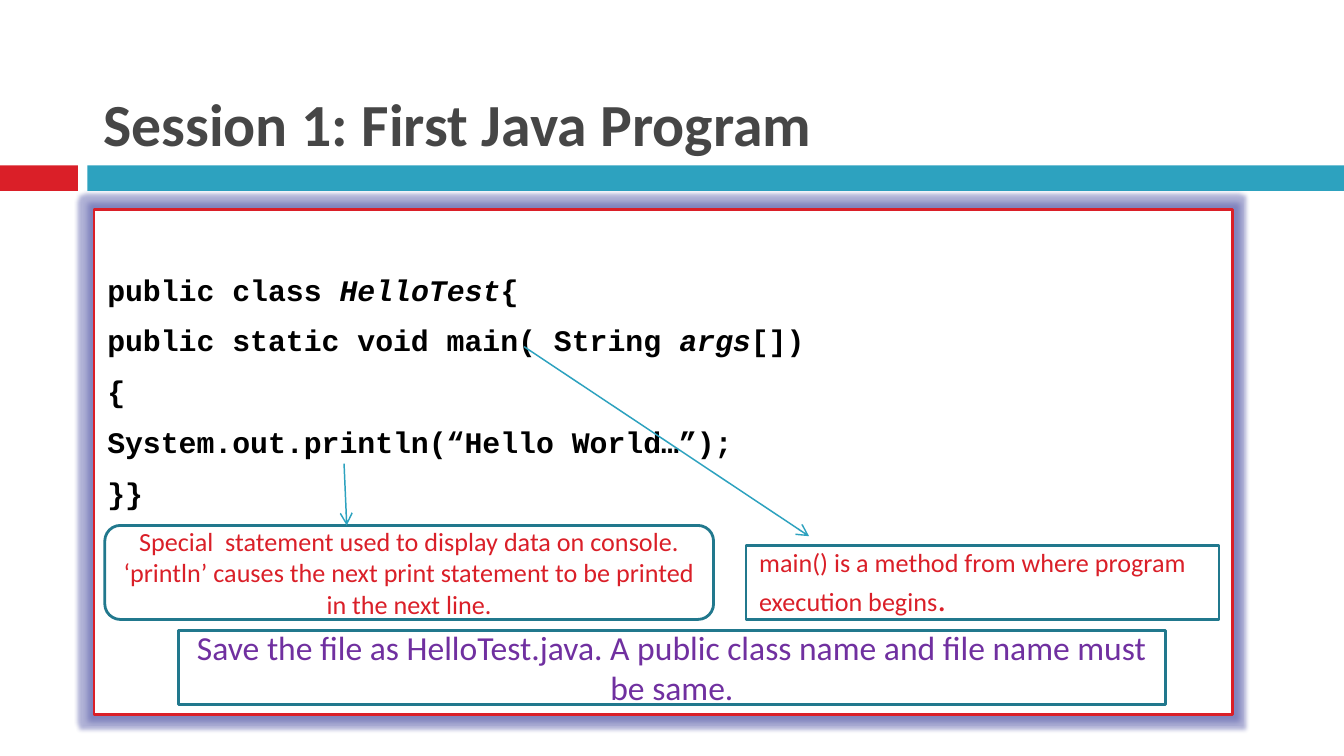
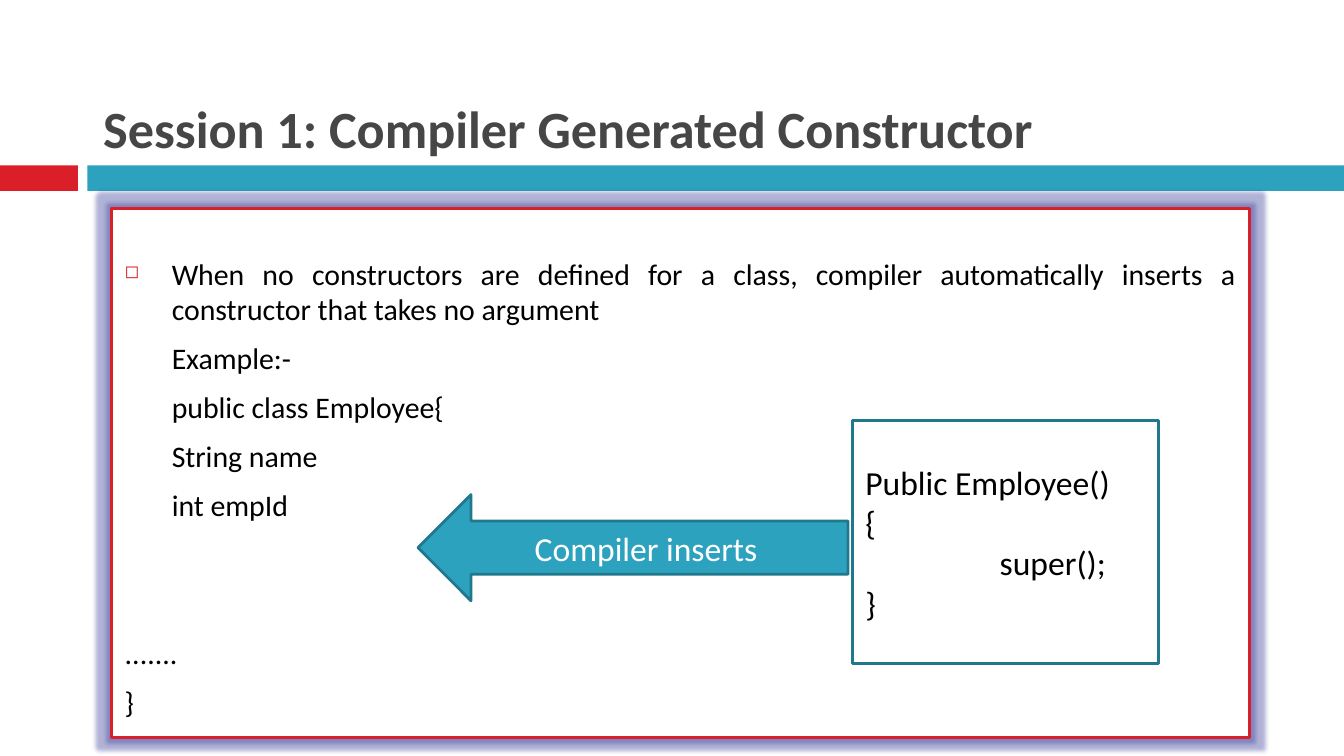
from lxml import etree
from pptx import Presentation
from pptx.dml.color import RGBColor
from pptx.enum.shapes import MSO_CONNECTOR, MSO_SHAPE
from pptx.enum.text import MSO_ANCHOR, PP_ALIGN
from pptx.oxml.ns import qn
from pptx.util import Inches, Pt

WIDTH = 10
HEIGHT = WIDTH * 9 / 16
RED, TEAL, DARK_TEAL = "DA1F28", "2DA2BF", "21788D"
WHITE, BLACK, GREY, PURPLE, GLOW = "FFFFFF", "000000", "464646", "7030A0", "3A3F9A"
BODY_FONT, CODE_FONT = "Calibri", "Courier New"
BANDS = [(0, 0.58, RED), (0.65, 9.35, TEAL)]
BAND_TOP, BAND_HEIGHT = 1.23, 0.19
TITLE_BOX = (0.67, 0.13, 9.33, 1.1)

# Code lines: runs of (text, italic)
HELLO_CODE = [
    [("public class ", False), ("HelloTest", True), ("{", False)],
    [("public static void main( String ", False), ("args", True), ("[])", False)],
    [("{", False)],
    [("System.out.println(“Hello World…”);", False)],
    [("}}", False)],
]
# Callouts: shape, box, alignment, colour, runs of (text, size)
CALLOUTS = [
    (MSO_SHAPE.RECTANGLE, (5.55, 4.06, 3.52, 0.55), PP_ALIGN.LEFT, RED,
     [("main() is a method from where program execution begins", 14), (".", 18)]),
    (MSO_SHAPE.ROUNDED_RECTANGLE, (0.78, 3.91, 4.53, 0.7), PP_ALIGN.CENTER, RED,
     [("Special  statement used to display data on console. ‘println’ causes "
       "the next print statement to be printed in the next line.", 14)]),
    (MSO_SHAPE.RECTANGLE, (1.33, 4.69, 7.34, 0.55), PP_ALIGN.CENTER, PURPLE,
     [("Save the file as HelloTest.java. A public class name and file name "
       "must be same.", 18)]),
]
ARROWS = [((3.9, 2.58), (6.02, 3.99)), ((2.56, 3.45), (2.58, 3.91))]

CONSTRUCTOR_RULE = ("When no constructors are defined for a class, compiler automatically "
                    "inserts a constructor that takes no argument")
# Example lines: text, indent, space before
EMPLOYEE_CODE = [
    ("Example:-", 0.35, 7),
    ("public class Employee{", 0.35, 7),
    ("String name", 0.35, 7),
    ("int empId", 0.35, 7),
    (".......", 0, 60),
    ("}", 0, 7),
]
INSERTED_CODE = [("Public Employee()", 0), ("{", 0), ("super();", 1), ("}", 0)]


def rgb(color):
    return RGBColor.from_string(color)


def add_run(p, text, size, color, font=BODY_FONT, bold=False, italic=False):
    r = p.add_run()
    r.text = text
    r.font.size, r.font.name = Pt(size), font
    r.font.bold, r.font.italic = bold, italic
    r.font.color.rgb = rgb(color)


def add_paragraph(tf, align=PP_ALIGN.LEFT, before=0, left=0, hang=0):
    """Use the empty first paragraph if there is one, else append another."""
    last = tf.paragraphs[-1]
    p = tf.add_paragraph() if last.runs else last
    p.alignment, p.space_before = align, Pt(before)
    pPr = p._p.get_or_add_pPr()
    pPr.set("marL", str(Inches(left)))
    pPr.set("indent", str(-Inches(hang)))
    return p


def add_bullet(p, char, color, percent):
    pPr = p._p.get_or_add_pPr()
    bu_clr = etree.SubElement(pPr, qn("a:buClr"))
    etree.SubElement(bu_clr, qn("a:srgbClr"), val=color)
    etree.SubElement(pPr, qn("a:buSzPct"), val=str(percent * 1000))
    etree.SubElement(pPr, qn("a:buChar"), char=char)


def add_box(s, kind, box, fill, line=None):
    sp = s.shapes.add_shape(kind, *map(Inches, box))
    sp.shadow.inherit = False
    sp.fill.solid()
    sp.fill.fore_color.rgb = rgb(fill)
    if line:
        sp.line.color.rgb = rgb(line)
        sp.line.width = Pt(1.5)
    else:
        sp.line.fill.background()
    sp.text_frame.word_wrap = True
    sp.text_frame.vertical_anchor = MSO_ANCHOR.MIDDLE
    return sp


def add_panel(s, box, top_inset):
    """Glowing content frame; returns its text frame."""
    sp = add_box(s, MSO_SHAPE.RECTANGLE, box, WHITE, RED)
    effects = sp._element.spPr.find(qn("a:effectLst"))
    glow = etree.SubElement(effects, qn("a:glow"), rad=str(Inches(0.07)))
    color = etree.SubElement(glow, qn("a:srgbClr"), val=GLOW)
    etree.SubElement(color, qn("a:alpha"), val="40000")
    tf = sp.text_frame
    tf.vertical_anchor = MSO_ANCHOR.TOP
    tf.margin_top = Inches(top_inset)
    return tf


def add_arrow(s, start, end):
    c = s.shapes.add_connector(MSO_CONNECTOR.STRAIGHT, *map(Inches, start + end))
    c.line.color.rgb = rgb(TEAL)
    c.line.width = Pt(0.79)
    etree.SubElement(c.get_or_add_ln(), qn("a:tailEnd"), type="arrow")
    etree.SubElement(c._element.spPr, qn("a:effectLst"))


def add_slide(prs, title, size):
    s = prs.slides.add_slide(prs.slide_layouts[6])
    for left, width, color in BANDS:
        add_box(s, MSO_SHAPE.RECTANGLE, (left, BAND_TOP, width, BAND_HEIGHT), color)
    tf = s.shapes.add_textbox(*map(Inches, TITLE_BOX)).text_frame
    tf.word_wrap = True
    tf.vertical_anchor = MSO_ANCHOR.BOTTOM
    add_run(add_paragraph(tf), title, size, GREY, bold=True)
    return s


def build_first_program(prs):
    s = add_slide(prs, "Session 1: First Java Program", 32)
    tf = add_panel(s, (0.7, 1.56, 8.47, 3.76), 0.46)
    for i, runs in enumerate(HELLO_CODE):
        p = add_paragraph(tf, before=8 if i else 0)
        for text, italic in runs:
            add_run(p, text, 16, BLACK, CODE_FONT, True, italic)
    for kind, box, align, color, runs in CALLOUTS:
        sp = add_box(s, kind, box, WHITE, DARK_TEAL)
        p = add_paragraph(sp.text_frame, align)
        for text, size in runs:
            add_run(p, text, size, color)
    for start, end in ARROWS:
        add_arrow(s, start, end)


def build_constructor(prs):
    s = add_slide(prs, "Session 1: Compiler Generated Constructor", 28)
    tf = add_panel(s, (0.83, 1.55, 8.47, 3.94), 0.35)
    p = add_paragraph(tf, PP_ALIGN.JUSTIFY, left=0.35, hang=0.35)
    add_bullet(p, "◻", RED, 60)
    add_run(p, CONSTRUCTOR_RULE, 16, BLACK)
    for text, left, before in EMPLOYEE_CODE:
        add_run(add_paragraph(tf, before=before, left=left), text, 16, BLACK)

    inserted = add_box(s, MSO_SHAPE.RECTANGLE, (6.34, 3.13, 2.28, 1.81), WHITE, DARK_TEAL)
    for text, left in INSERTED_CODE:
        add_run(add_paragraph(inserted.text_frame, left=left), text, 18, BLACK)
    arrow = add_box(s, MSO_SHAPE.LEFT_ARROW, (3.11, 3.68, 3.2, 0.79), TEAL, DARK_TEAL)
    add_run(add_paragraph(arrow.text_frame, PP_ALIGN.CENTER), "Compiler inserts", 18, WHITE)


def main():
    prs = Presentation()
    prs.slide_width, prs.slide_height = Inches(WIDTH), Inches(HEIGHT)
    build_first_program(prs)
    build_constructor(prs)
    prs.save("out.pptx")


if __name__ == "__main__":
    main()
